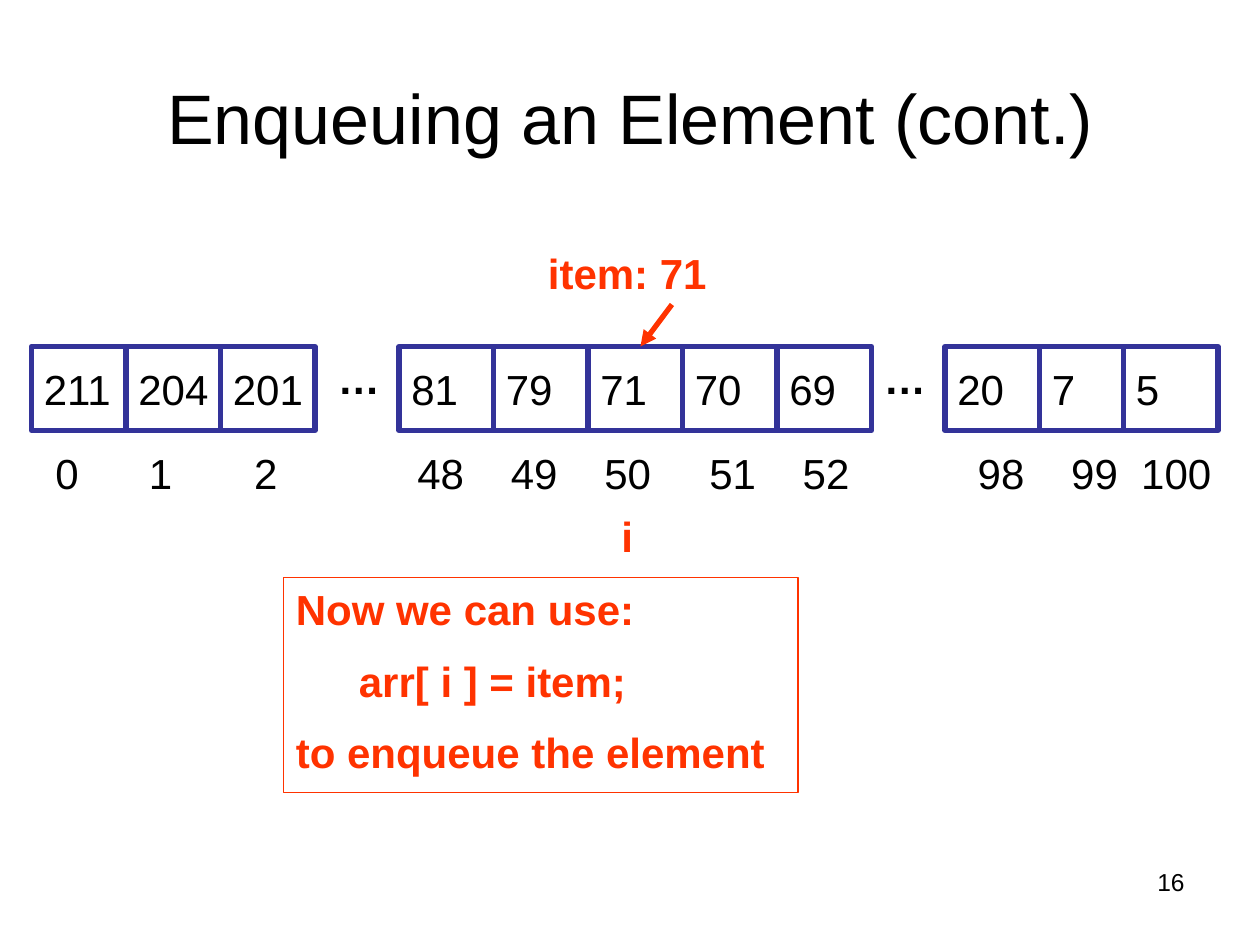
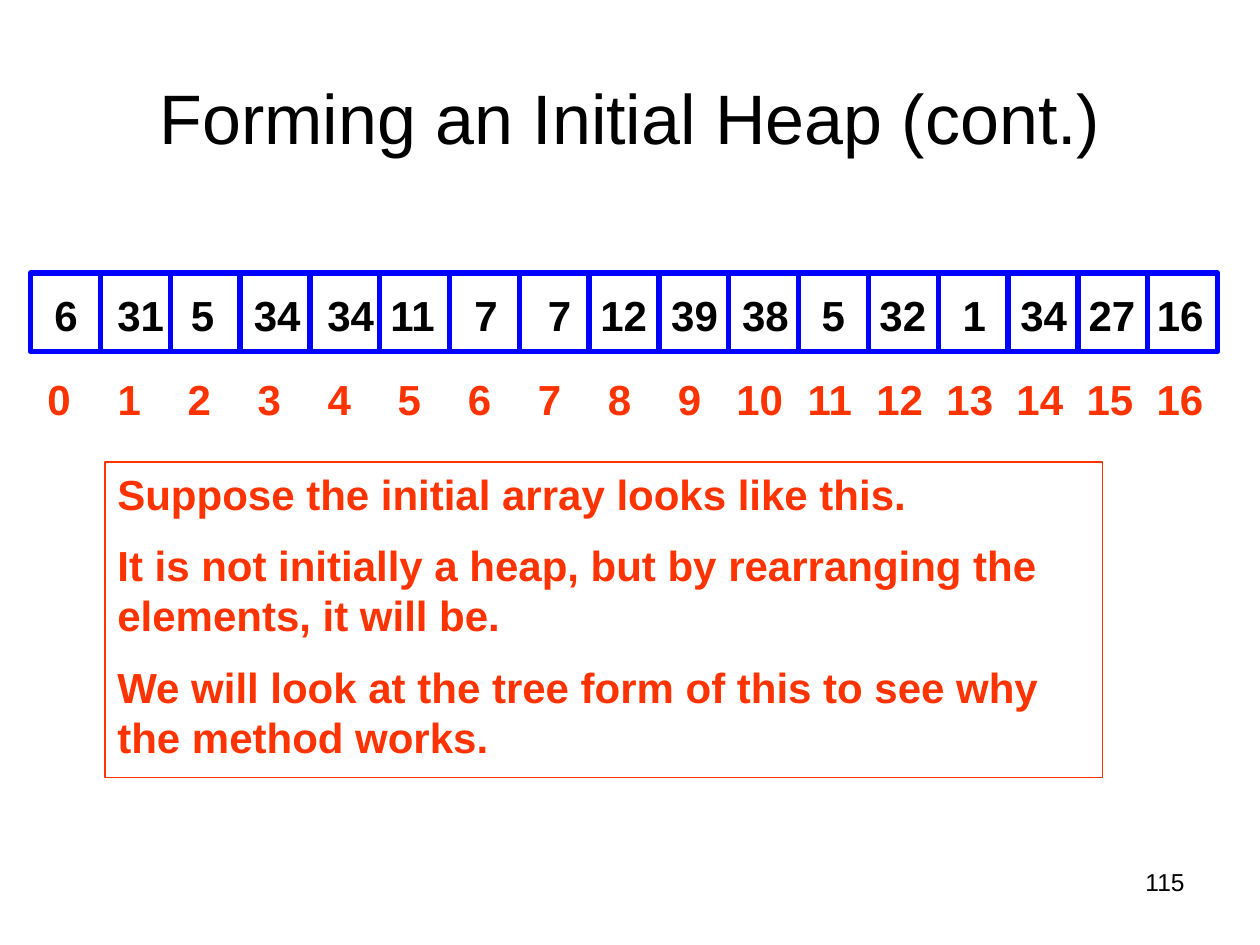
from dataclasses import dataclass

from lxml.etree import SubElement
from pptx import Presentation
from pptx.dml.color import RGBColor
from pptx.enum.shapes import MSO_CONNECTOR as Connector, MSO_SHAPE as Shape
from pptx.enum.text import MSO_ANCHOR as Anchor, PP_ALIGN as Align
from pptx.oxml.ns import qn
from pptx.util import Pt

FONT = "Arial"
BLACK, WHITE, RED = "000000", "FFFFFF", "FF3300"
NAVY, BLUE = "333399", "0000FF"


@dataclass(frozen=True)
class Area:
    """A rectangle on the page, in points."""
    left: float
    top: float
    width: float
    height: float

    def lengths(self) -> list:
        """Return the four lengths as python-pptx units."""
        return [Pt(n) for n in (self.left, self.top, self.width, self.height)]


@dataclass(frozen=True)
class Cell:
    """One array element: its value, left edge and label's left edge."""
    value: str
    left: float
    label_left: float


@dataclass(frozen=True)
class ArrayStyle:
    """Look and vertical layout shared by the cells of one array."""
    top: float
    width: float
    height: float
    label_top: float
    outline: str
    bold: bool


TITLE_AREA = Area(36, 21.6, 648, 90)
NUMBER_AREA = Area(516, 492, 168, 37)

QUEUE_STYLE = ArrayStyle(198, 54, 48, 204, NAVY, False)
QUEUE_CELLS = [
    Cell(value, left, left)
    for values, lefts in (
        (("211", "204", "201"), range(18, 180, 54)),
        (("81", "79", "71", "70", "69"), range(228, 498, 54)),
        (("20", "7", "5"), (540, 594, 642)),
    )
    for value, left in zip(values, lefts)
]
QUEUE_INDEXES = (0, 1, 2, 48, 49, 50, 51, 52, 98, 99, 100)
QUEUE_TABS = (13.3, 66.7, 126.8, 226.8, 280.2, 333.6, 393.6, 447, 547, 600.4, 647.1)

HEAP_STYLE = ArrayStyle(156, 39.9, 45, 162, BLUE, True)
HEAP_VALUES = (6, 31, 5, 34, 34, 11, 7, 7, 12, 39, 38, 5, 32, 1, 34, 27, 16)
HEAP_LABEL_LEFTS = (24, 60, 102, 138, 180, 216, 264, 306, 336, 376.5, 417,
                    462.5, 495.5, 543, 576, 615, 654)
HEAP_CELLS = [
    Cell(str(value), 17.5 + HEAP_STYLE.width * index, label_left)
    for index, (value, label_left) in enumerate(zip(HEAP_VALUES, HEAP_LABEL_LEFTS))
]
HEAP_TABS = [26.7 + 40.03 * index for index in range(len(HEAP_VALUES))]


def color(code: str) -> RGBColor:
    """Turn a hex string into a colour."""
    return RGBColor.from_string(code)


def add_text(page, area: Area, text: str, *, size: float = 24, ink: str = BLACK,
             bold: bool = False, align=Align.LEFT, anchor=Anchor.TOP,
             gap: float = 12, tabs=(), outline: str = ""):
    """Add a text box with one paragraph per line of text."""
    if outline:
        box = add_rectangle(page, area, outline, 0.75)
    else:
        box = page.shapes.add_textbox(*area.lengths())
    frame = box.text_frame
    frame.word_wrap = True
    frame.vertical_anchor = anchor
    for number, line in enumerate(text.split("\n")):
        para = frame.add_paragraph() if number else frame.paragraphs[0]
        if tabs:
            set_center_tabs(para, tabs)
        if number:
            para.space_before = Pt(gap)
        para.alignment = align
        span = para.add_run()
        span.text = line
        span.font.name = FONT
        span.font.size = Pt(size)
        span.font.bold = bold
        span.font.color.rgb = color(ink)
    return box


def set_center_tabs(para, positions) -> None:
    """Give a paragraph centred tab stops."""
    tab_list = SubElement(para._p.get_or_add_pPr(), qn("a:tabLst"))
    for position in positions:
        SubElement(tab_list, qn("a:tab"), pos=str(Pt(position)), algn="ctr")


def add_rectangle(page, area: Area, outline: str, weight: float, fill: str = ""):
    """Add an outlined rectangle, unfilled unless a fill is given."""
    box = page.shapes.add_shape(Shape.RECTANGLE, *area.lengths())
    box.shadow.inherit = False
    if fill:
        box.fill.solid()
        box.fill.fore_color.rgb = color(fill)
    else:
        box.fill.background()
    box.line.color.rgb = color(outline)
    box.line.width = Pt(weight)
    return box


def add_arrow(page, start: tuple, end: tuple) -> None:
    """Add a red arrow between two points."""
    arrow = page.shapes.add_connector(
        Connector.STRAIGHT, *(Pt(n) for n in (*start, *end)))
    arrow.line.color.rgb = color(RED)
    arrow.line.width = Pt(3)
    SubElement(arrow.line._get_or_add_ln(), qn("a:tailEnd"), type="triangle")
    SubElement(arrow._element.spPr, qn("a:effectLst"))


def add_array(page, cells: list[Cell], style: ArrayStyle) -> None:
    """Draw the cells of an array with their values."""
    for cell in cells:
        area = Area(cell.left, style.top, style.width, style.height)
        add_rectangle(page, area, style.outline, 3, WHITE)
        add_text(page, Area(cell.label_left, style.label_top, 66, 36),
                 cell.value, bold=style.bold)


def add_indexes(page, area: Area, indexes, tabs, **style) -> None:
    """Add a row of index numbers, each centred on its tab stop."""
    text = "".join(f"\t{index}" for index in indexes)
    add_text(page, area, text, tabs=tabs, **style)


def add_note(page, area: Area, text: str) -> None:
    """Add a red framed note."""
    add_text(page, area, text, ink=RED, bold=True, outline=RED)


def add_page(deck, title: str, number: int):
    """Add a page with its title and number."""
    page = deck.slides.add_slide(deck.slide_layouts[6])
    add_text(page, TITLE_AREA, title, size=40, align=Align.CENTER, anchor=Anchor.MIDDLE)
    add_text(page, NUMBER_AREA, str(number), size=14, align=Align.RIGHT)
    return page


def build_enqueue_page(deck) -> None:
    """Show item 71 being placed at index i of the queue array."""
    page = add_page(deck, "Enqueuing an Element (cont.)", 16)
    add_indexes(page, Area(18, 252, 684, 36), QUEUE_INDEXES, QUEUE_TABS)
    add_text(page, Area(306, 138, 132, 36), "item: 71", ink=RED, bold=True)
    add_text(page, Area(348, 288, 60, 36), "i", ink=RED, bold=True)
    add_array(page, QUEUE_CELLS, QUEUE_STYLE)
    add_arrow(page, (384, 174), (366, 198))
    for left in (186, 498):
        add_text(page, Area(left, 198, 48, 36), "…", bold=True)
    add_note(page, Area(162, 330, 294, 123),
             "Now we can use:\n\tarr[ i ] = item;\nto enqueue the element")


def build_heap_page(deck) -> None:
    """Show the array before it is rearranged into a heap."""
    page = add_page(deck, "Forming an Initial Heap (cont.)", 115)
    add_array(page, HEAP_CELLS, HEAP_STYLE)
    add_indexes(page, Area(0, 210, 708, 36), range(len(HEAP_VALUES)), HEAP_TABS,
                ink=RED, bold=True)
    add_note(page, Area(60, 264, 570, 180.5),
             "Suppose the initial array looks like this.\n"
             "It is not initially a heap, but by rearranging the elements, it will be.\n"
             "We will look at the tree form of this to see why the method works.")


def main() -> None:
    """Build and save the deck."""
    deck = Presentation()
    deck.slide_width, deck.slide_height = Pt(720), Pt(540)
    build_enqueue_page(deck)
    build_heap_page(deck)
    deck.save("out.pptx")


if __name__ == "__main__":
    main()
